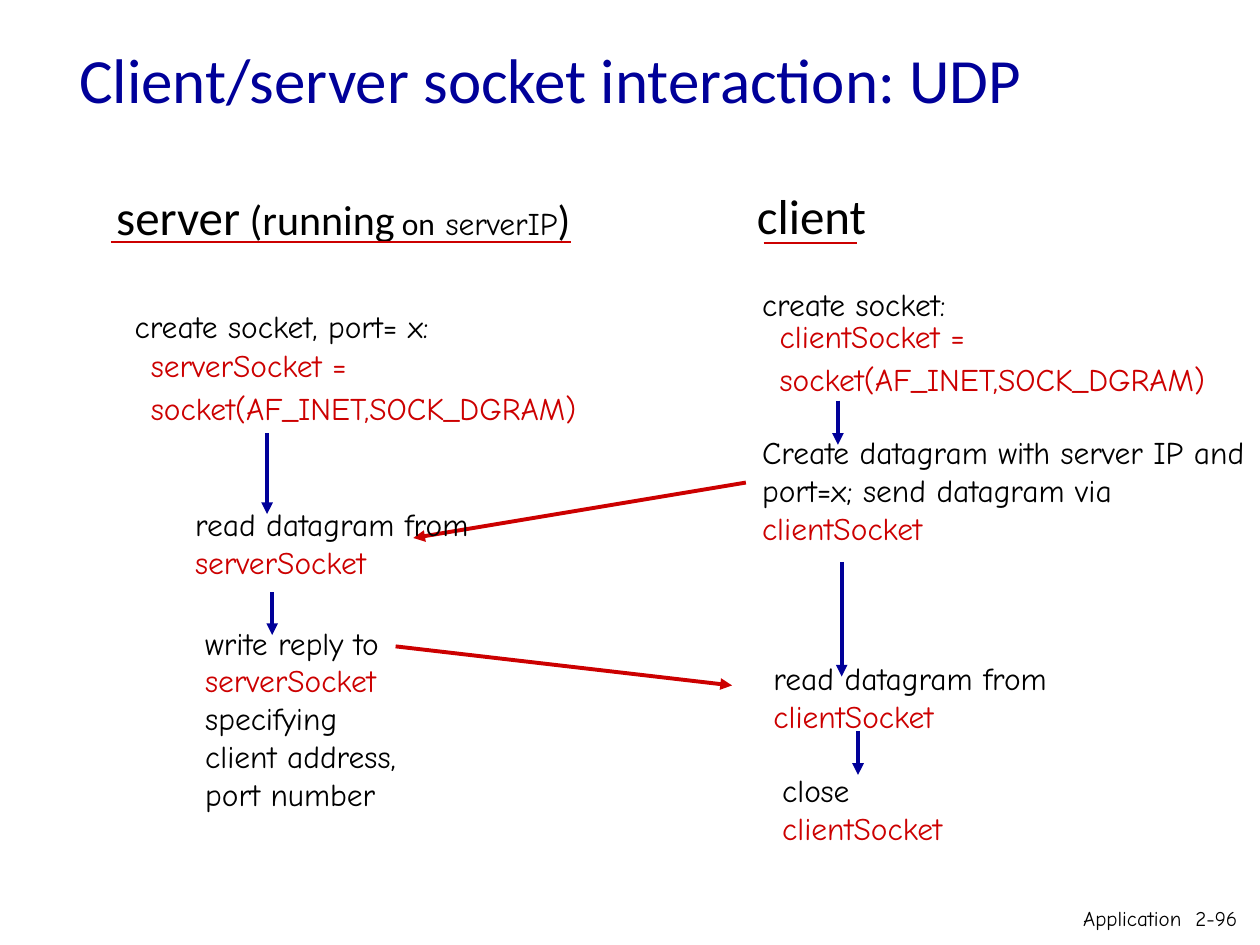
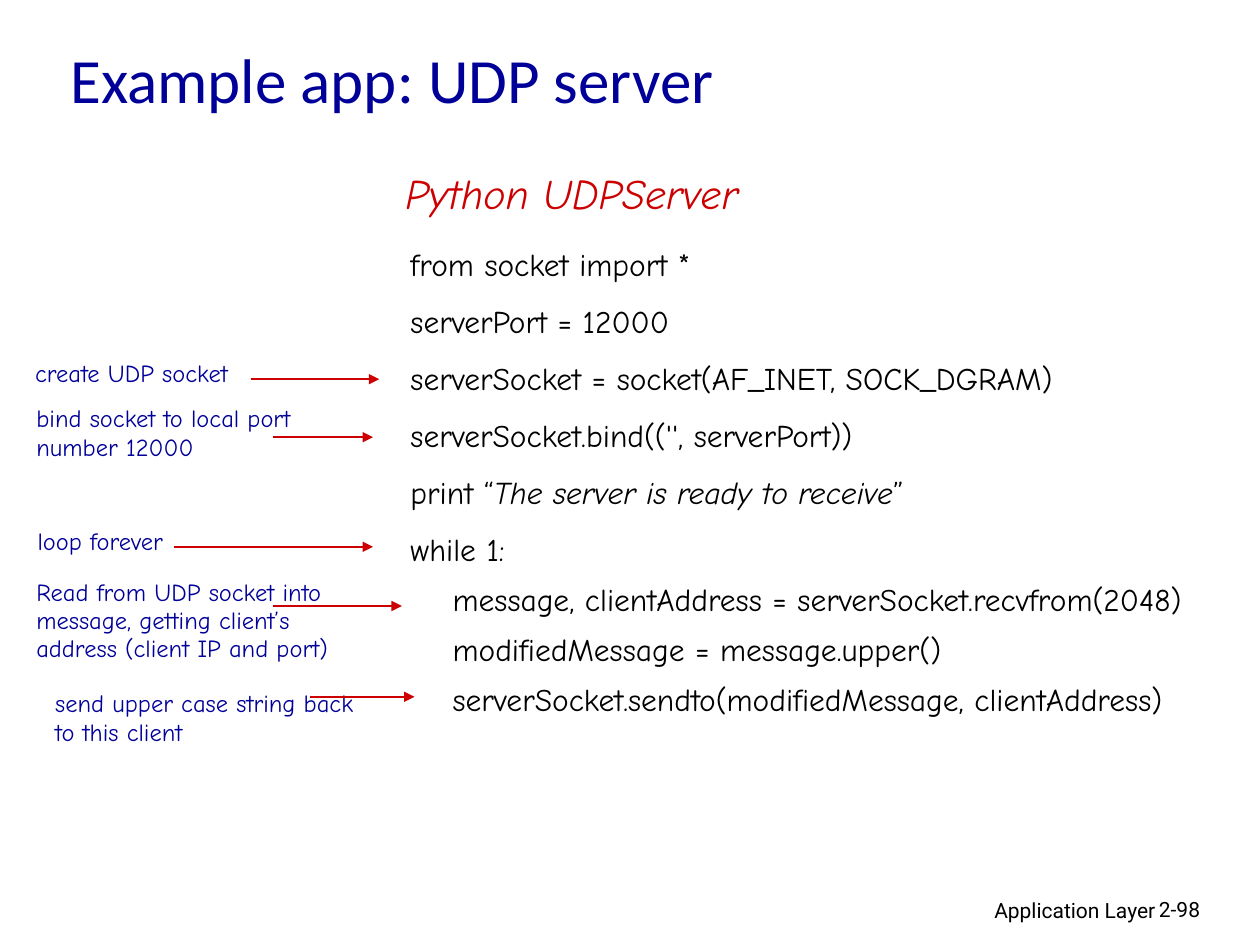
from dataclasses import dataclass
from typing import NamedTuple, Optional, Sequence, Union

from lxml.etree import SubElement
from pptx import Presentation
from pptx.dml.color import RGBColor
from pptx.enum.shapes import MSO_CONNECTOR
from pptx.enum.text import MSO_ANCHOR, MSO_AUTO_SIZE, PP_ALIGN
from pptx.oxml.ns import qn
from pptx.slide import Slide
from pptx.util import Inches, Pt

NAVY = RGBColor(0x00, 0x00, 0x99)
RED = RGBColor(0xCC, 0x00, 0x00)
BLACK = RGBColor(0x00, 0x00, 0x00)

TITLE_FONT = "Calibri"
BODY_FONT = "Comic Neue"
FOOTER_FONT = "Roboto"

# The page is a grid of 100 columns by 75 rows of square cells.
COLUMNS, ROWS = 100, 75
CELL = Inches(0.1)


class Area(NamedTuple):
    left: float
    top: float
    width: float
    height: float


class Span(NamedTuple):
    """A piece of text; whatever is None follows its box."""
    text: str
    color: Optional[RGBColor] = None
    size: Optional[float] = None
    font: Optional[str] = None
    italic: Optional[bool] = None


Line = Union[str, Span, Sequence[Span]]


@dataclass(frozen=True)
class Step:
    area: Area
    lines: Sequence[Line]
    line_spacing: Optional[float] = None


@dataclass(frozen=True)
class Arrow:
    start: tuple[float, float]
    end: tuple[float, float]
    color: RGBColor = NAVY


@dataclass(frozen=True)
class Note:
    """A remark beside the code, with an arrow along one row."""
    text: str
    area: Area
    arrow_from: float
    arrow_to: float
    arrow_row: float
    line_spacing: Optional[float] = None


def cells(count: float) -> int:
    return round(count * CELL)


def as_spans(line: Line) -> Sequence[Span]:
    if isinstance(line, str):
        return [Span(line)]
    return [line] if isinstance(line, Span) else line


def add_text(page: Slide, area: Area, lines: Sequence[Line], *, size: float = 18,
             font: str = BODY_FONT, color: RGBColor = BLACK, italic: bool = False,
             align: PP_ALIGN = PP_ALIGN.LEFT, anchor: MSO_ANCHOR = MSO_ANCHOR.TOP,
             wrap: bool = False, grow: bool = True, space_before: float = 0,
             line_spacing: Union[float, Sequence[float], None] = None) -> None:
    """Add a text box; line_spacing is one value or one for each line."""
    box = page.shapes.add_textbox(*map(cells, area))
    frame = box.text_frame
    frame.word_wrap = wrap
    frame.auto_size = MSO_AUTO_SIZE.SHAPE_TO_FIT_TEXT if grow else MSO_AUTO_SIZE.NONE
    frame.vertical_anchor = anchor
    for index, line in enumerate(lines):
        para = frame.add_paragraph() if index else frame.paragraphs[0]
        para.alignment = align
        if index:
            para.space_before = Pt(space_before)
        if line_spacing:
            spacing = line_spacing if isinstance(line_spacing, (int, float)) else line_spacing[index]
            para.line_spacing = Pt(spacing)
        for span in as_spans(line):
            run = para.add_run()
            run.text = span.text
            run.font.name = span.font or font
            run.font.size = Pt(span.size or size)
            run.font.italic = italic if span.italic is None else span.italic
            run.font.color.rgb = span.color or color


def add_line(page: Slide, start: tuple[float, float], end: tuple[float, float], *,
             color: RGBColor, width: float, arrowhead: bool = True) -> None:
    line = page.shapes.add_connector(MSO_CONNECTOR.STRAIGHT, *map(cells, (*start, *end)))
    line.line.color.rgb = color
    line.line.width = Pt(width)
    if arrowhead:
        SubElement(line.line._get_or_add_ln(), qn("a:tailEnd"), type="triangle")
    SubElement(line._element.spPr, qn("a:effectLst"))


def add_title(page: Slide, text: str, area: Area) -> None:
    add_text(page, area, [text], size=36, font=TITLE_FONT, color=NAVY,
             anchor=MSO_ANCHOR.MIDDLE, wrap=True, grow=False)


def add_footer(page: Slide, text: str, area: Area, font: str,
               align: PP_ALIGN = PP_ALIGN.RIGHT) -> None:
    add_text(page, area, [text], size=12, font=font, align=align, wrap=True, grow=False)


SERVER_SOCKET = Span("serverSocket", RED)
CLIENT_SOCKET = Span("clientSocket", RED)
SOCKET_CALL = Span("socket(AF_INET,SOCK_DGRAM)", RED)

SERVER_STEPS = [
    Step(Area(9.7, 23.9, 25.5, 4), ["create socket, port= x:"]),
    Step(Area(11, 27.2, 36, 7.2), [Span("serverSocket =", RED), SOCKET_CALL], 20),
    Step(Area(14.5, 39.6, 23.9, 7), ["read datagram from", SERVER_SOCKET]),
    Step(Area(15.3, 49, 17.2, 16),
         ["write reply to", SERVER_SOCKET, "specifying", "client address,", "port number"]),
]
CLIENT_STEPS = [
    Step(Area(59.5, 22.1, 16.7, 4), ["create socket:"]),
    Step(Area(60.9, 24.9, 36, 7.2), [Span("clientSocket =", RED), SOCKET_CALL], 20),
    Step(Area(59.5, 33.9, 40.6, 10),
         ["Create datagram with server IP and", "port=x; send datagram via", CLIENT_SOCKET]),
    Step(Area(60.4, 51.8, 23.9, 7), ["read datagram from", CLIENT_SOCKET]),
    Step(Area(61.1, 60.7, 14.7, 7), ["close", CLIENT_SOCKET]),
]
FLOW_ARROWS = [
    Arrow((21.2, 34.4), (21.2, 40.8)),
    Arrow((21.6, 47), (21.6, 50.4)),
    Arrow((66.5, 31.8), (66.5, 35.3)),
    Arrow((66.8, 44.6), (66.8, 53.7)),
    Arrow((68.1, 58), (68.1, 61.5)),
    Arrow((59.2, 38.3), (32.8, 42.7), RED),
    Arrow((31.4, 51.3), (58.1, 54.4), RED),
]

CODE = [
    "from socket import *",
    "serverPort = 12000",
    "serverSocket = socket(AF_INET, SOCK_DGRAM)",
    "serverSocket.bind(('', serverPort))",
    [Span("print “"), Span("The server is ready to receive", italic=True), Span("”")],
    "while 1:",
    "    message, clientAddress = serverSocket.recvfrom(2048)",
    "    modifiedMessage = message.upper()",
    "    serverSocket.sendto(modifiedMessage, clientAddress)",
]
CODE_SPACING = [28] * 6 + [24] * 3

NOTES = [
    Note("create UDP socket", Area(1.8, 27.9, 28, 3.4), 19.9, 30.1, 30.1),
    Note("bind socket to local port number 12000",
         Area(1.9, 31.5, 24.8, 5.7), 21.7, 29.6, 34.7),
    Note("loop forever", Area(2, 41.4, 13.1, 3.2), 13.8, 29.6, 43.4, 16),
    Note("Read from UDP socket into message, getting client’s address (client IP and port)",
         Area(1.9, 45.4, 25.7, 7.7), 21.7, 31.9, 48.1, 16),
    Note("send upper case string back to this client",
         Area(3.4, 54.1, 25.7, 5.7), 24.6, 32.9, 55.3),
]


def build_interaction(page: Slide) -> None:
    add_title(page, "Client/server socket interaction: UDP", Area(5.3, 0, 85, 12.5))
    for arrow in FLOW_ARROWS:
        add_line(page, arrow.start, arrow.end, color=arrow.color, width=2.25)
    for step in SERVER_STEPS + CLIENT_STEPS:
        add_text(page, step.area, step.lines, anchor=MSO_ANCHOR.MIDDLE,
                 line_spacing=step.line_spacing,
                 space_before=4.5 if step.line_spacing else 0)

    server_heading = [Span("server"), Span(" (running", size=24), Span(" on", size=18),
                      Span(" serverIP", size=18, font=BODY_FONT), Span(")", size=24)]
    headings = [
        (server_heading, Area(6.1, 14.3, 42.3, 5.7), (8.8, 45.3), 19.2),
        ([Span("client")], Area(58.5, 14.2, 11.8, 5.7), (60.6, 68), 19.3),
    ]
    for heading, area, (left, right), row in headings:
        add_text(page, area, [heading], size=28, font=TITLE_FONT,
                 align=PP_ALIGN.CENTER, anchor=MSO_ANCHOR.MIDDLE)
        add_line(page, (left, row), (right, row), color=RED, width=1.5, arrowhead=False)
    add_footer(page, "Application  2-96", Area(83.3, 71.4, 15.9, 3.1), BODY_FONT)


def build_server_example(page: Slide) -> None:
    add_title(page, "Example app: UDP server", Area(4.6, 1, 85, 10.4))
    add_text(page, Area(31.2, 12.8, 28.4, 5), ["Python UDPServer"],
             size=24, color=RED, italic=True)
    add_text(page, Area(31.6, 18.1, 63.4, 39.3), CODE,
             space_before=4.5, line_spacing=CODE_SPACING)
    for note in NOTES:
        add_text(page, note.area, [note.text], size=14, color=NAVY, wrap=True,
                 line_spacing=note.line_spacing)
        add_line(page, (note.arrow_from, note.arrow_row), (note.arrow_to, note.arrow_row),
                 color=RED, width=1)
    add_footer(page, "Application Layer", Area(61, 70.7, 31.7, 3.1), FOOTER_FONT)
    add_footer(page, "2-98", Area(91, 70.7, 7.4, 3), FOOTER_FONT, PP_ALIGN.LEFT)


def main() -> None:
    deck = Presentation()
    deck.slide_width, deck.slide_height = cells(COLUMNS), cells(ROWS)
    blank = deck.slide_layouts[6]
    for build in (build_interaction, build_server_example):
        build(deck.slides.add_slide(blank))
    deck.save("out.pptx")


if __name__ == "__main__":
    main()
